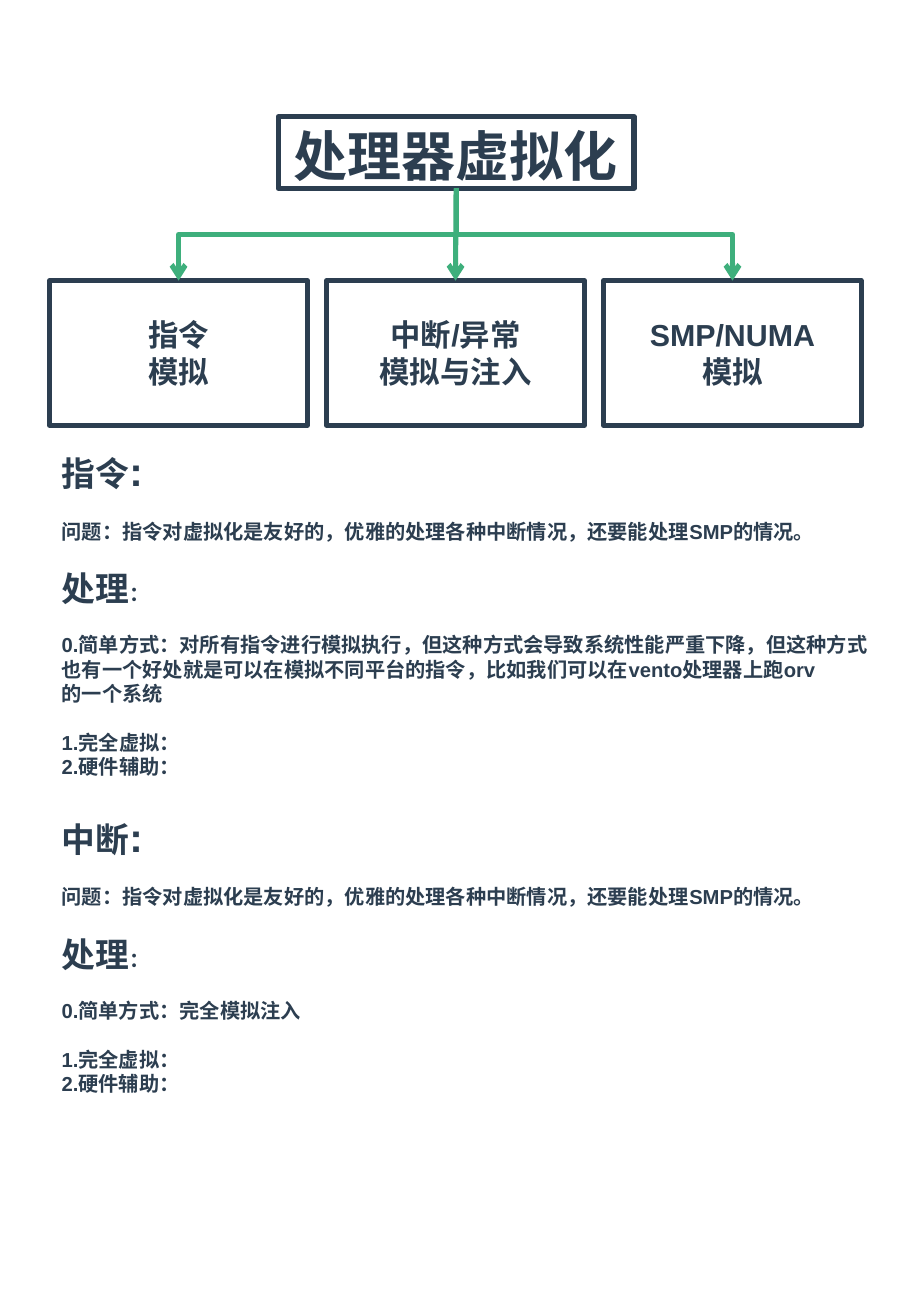
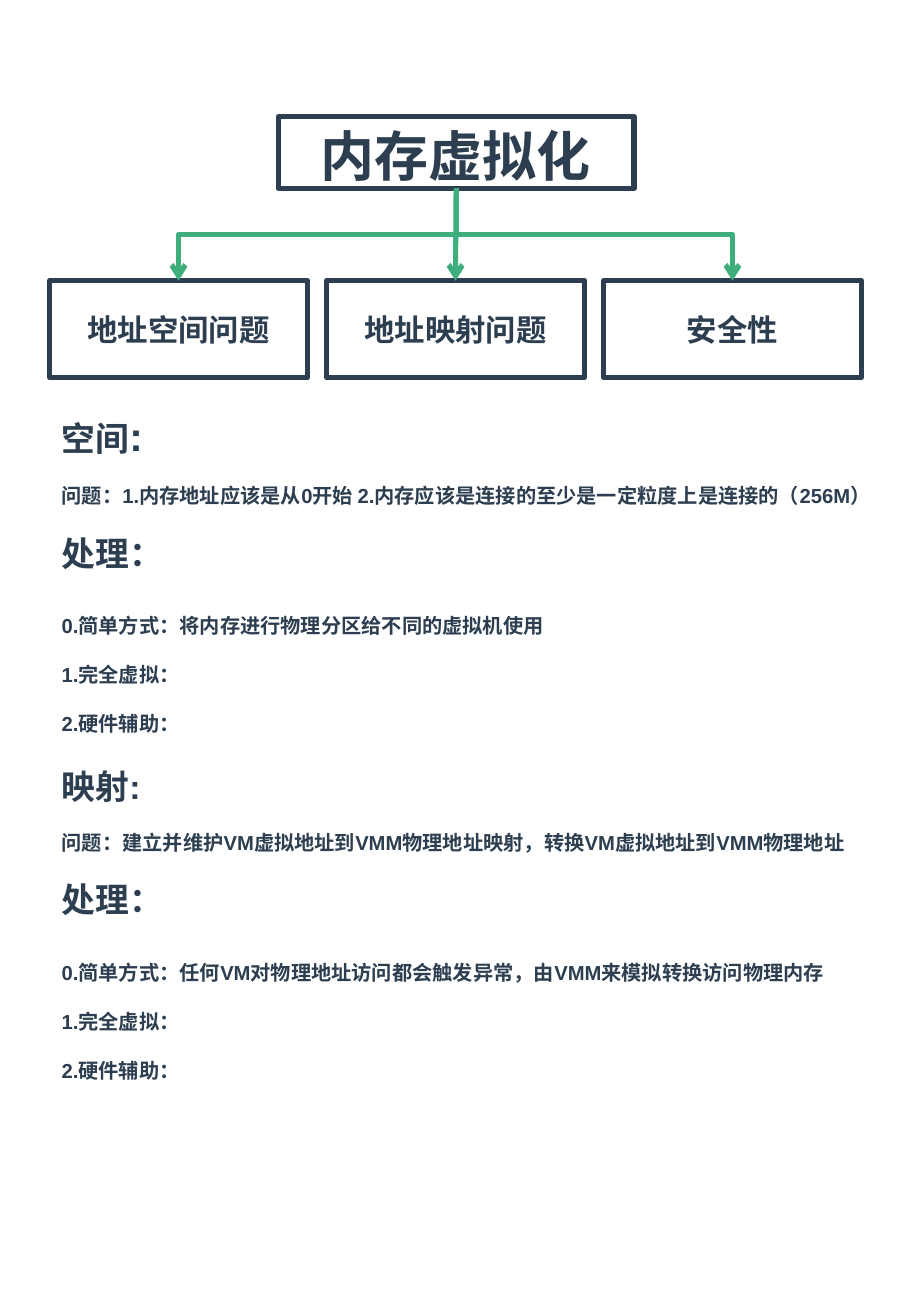
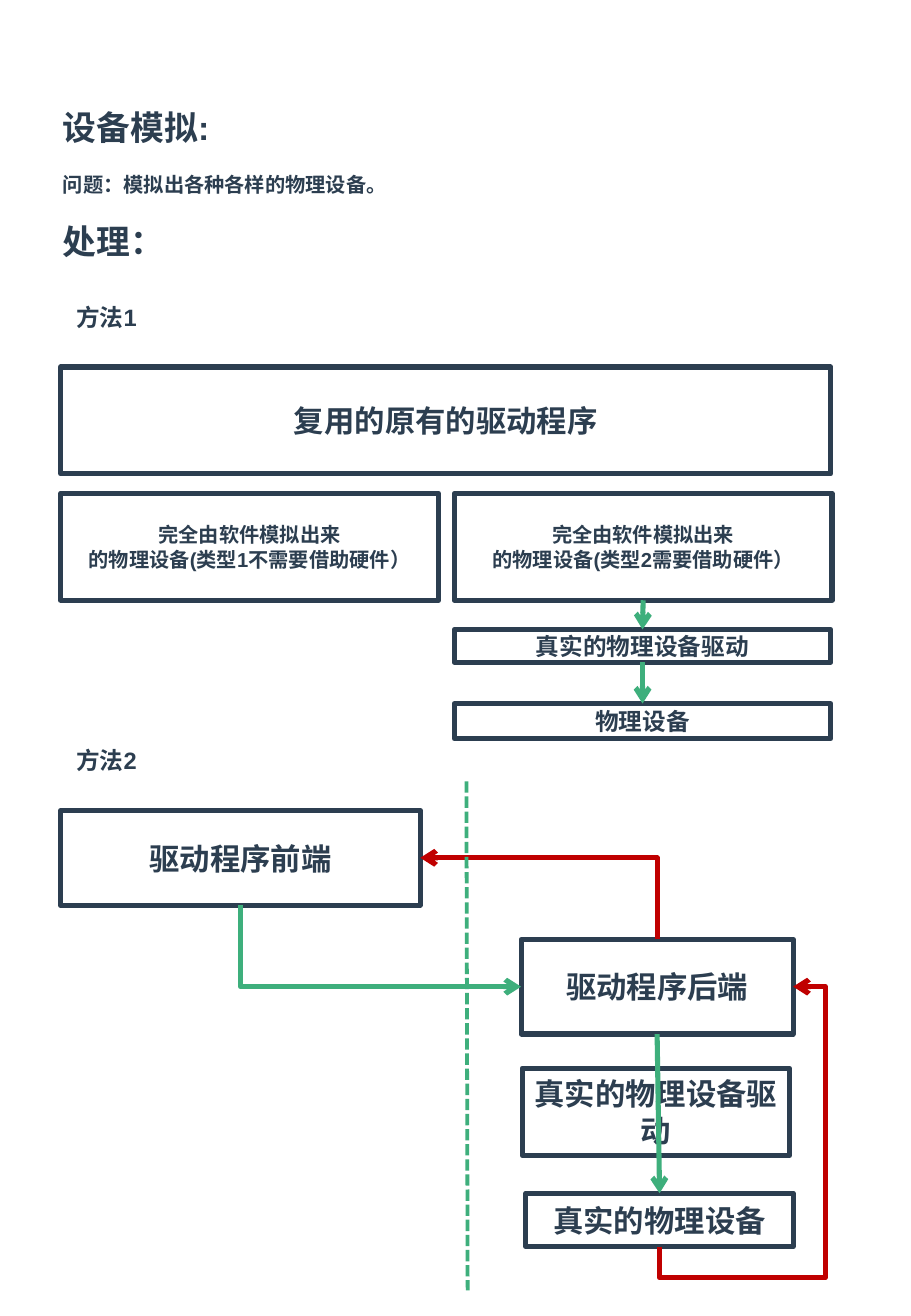
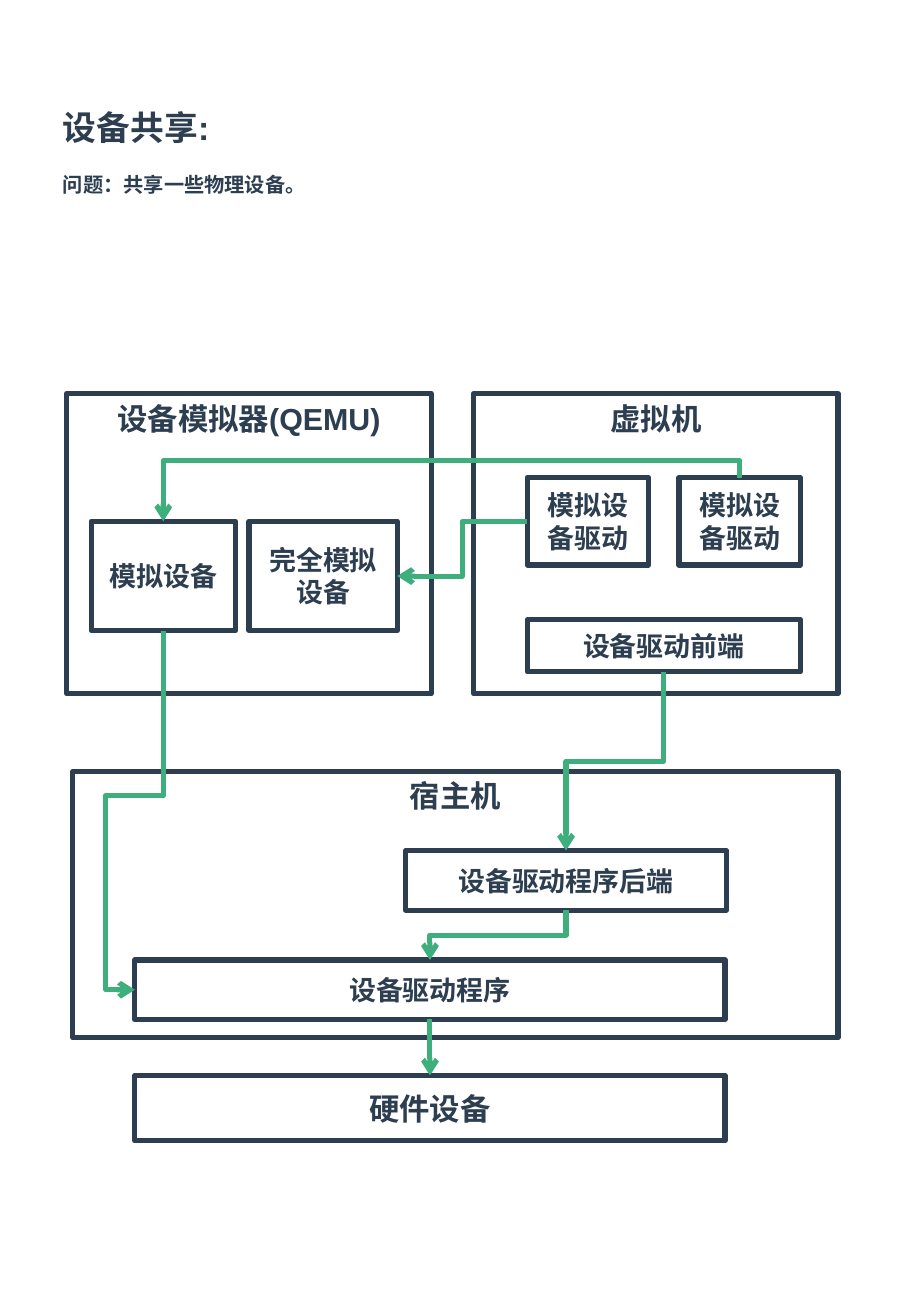
from math import cos, radians, sin

from lxml import etree
from pptx import Presentation
from pptx.dml.color import RGBColor
from pptx.enum.dml import MSO_LINE_DASH_STYLE
from pptx.enum.shapes import MSO_CONNECTOR_TYPE, MSO_SHAPE
from pptx.enum.text import MSO_ANCHOR, MSO_AUTO_SIZE, PP_ALIGN
from pptx.oxml.ns import qn
from pptx.util import Inches, Pt

RECT = MSO_SHAPE.RECTANGLE
STRAIGHT, ELBOW = MSO_CONNECTOR_TYPE.STRAIGHT, MSO_CONNECTOR_TYPE.ELBOW
ANCHOR_TOP, ANCHOR_MIDDLE = MSO_ANCHOR.TOP, MSO_ANCHOR.MIDDLE
CENTER, LEFT_ALIGN = PP_ALIGN.CENTER, PP_ALIGN.LEFT
GROW = MSO_AUTO_SIZE.SHAPE_TO_FIT_TEXT
DASHED = MSO_LINE_DASH_STYLE.SQUARE_DOT
TOP, LEFT, BOTTOM, RIGHT = range(4)
HEADING = {TOP: 270, LEFT: 180, BOTTOM: 90, RIGHT: 0}

color = RGBColor.from_string
INK, GREEN, RED = "2C3E50", "3EAF7C", "C00000"
GAP, WIDE_GAP = 14.5, 24

deck = Presentation()
deck.slide_width, deck.slide_height = Inches(7.5), Inches(10.83)
BLANK = deck.slide_layouts[6]
COL, ROW = deck.slide_width / 75, deck.slide_height / 108.3


def write(slide, area, lines, framed=True, anchor=ANCHOR_MIDDLE):
    """Place text at (column, row, columns, rows); a line is (space before, (text, size), ...)."""
    place = [round(n * unit) for n, unit in zip(area, (COL, ROW, COL, ROW))]
    if framed:
        block = slide.shapes.add_shape(RECT, *place)
        block.shadow.inherit = False
        block.fill.background()
        block.line.color.rgb = color(INK)
        block.line.width = Pt(3)
    else:
        block = slide.shapes.add_textbox(*place)
        block.text_frame.auto_size = GROW
    frame = block.text_frame
    frame.word_wrap = True
    frame.vertical_anchor = anchor if framed else ANCHOR_TOP
    for i, (before, *runs) in enumerate(lines):
        paragraph = frame.add_paragraph() if i else frame.paragraphs[0]
        paragraph.alignment = CENTER if framed else LEFT_ALIGN
        if before:
            paragraph.space_before = Pt(before)
        for text, size in runs:
            run = paragraph.add_run()
            run.text = text
            run.font.color.rgb = color(INK)
            for key, value in {"name": "Arial", "size": Pt(size), "bold": True}.items():
                setattr(run.font, key, value)
    return block


def link(slide, source, out_side, target, in_side, bends=0, adjust=(), tone=GREEN):
    """Join two boxes with an arrow; an elbow leaves square to the side it starts from."""
    arrow = slide.shapes.add_connector(ELBOW if bends else STRAIGHT, 0, 0, 0, 0)
    arrow.begin_connect(source, out_side)
    arrow.end_connect(target, in_side)
    arrow.line.color.rgb = color(tone)
    arrow.line.width = Pt(3)
    properties = arrow._element.spPr
    etree.SubElement(arrow.line._get_or_add_ln(), qn("a:tailEnd"), type="arrow")
    etree.SubElement(properties, qn("a:effectLst"))
    if not bends:
        return
    dx, dy = arrow.end_x - arrow.begin_x, arrow.end_y - arrow.begin_y
    mid_x, mid_y = arrow.begin_x + dx / 2, arrow.begin_y + dy / 2
    turn = radians(HEADING[out_side])
    along = round(dx * cos(turn) + dy * sin(turn))
    across = round(dy * cos(turn) - dx * sin(turn))
    arrow.width, arrow.height = abs(along), abs(across)
    arrow.left, arrow.top = round(mid_x - abs(along) / 2), round(mid_y - abs(across) / 2)
    frame = properties.find(qn("a:xfrm"))
    for key, value in {"rot": HEADING[out_side] * 60000,
                       "flipH": int(along < 0), "flipV": int(across < 0)}.items():
        frame.set(key, str(value))
    geometry = properties.find(qn("a:prstGeom"))
    geometry.set("prst", f"bentConnector{bends + 1}")
    guides = geometry.find(qn("a:avLst"))
    if guides is None:
        guides = etree.SubElement(geometry, qn("a:avLst"))
    for i, share in enumerate(adjust, 1):
        name = f"adj{i}" if bends > 1 else "adj"
        etree.SubElement(guides, qn("a:gd"), name=name, fmla=f"val {round(share * 100000)}")


FULL, ASSISTED = ("1.完全虚拟：", 12), ("2.硬件辅助：", 12)
SOLUTION = (GAP, ("处理", 20), ("：", 12))
SOLUTION_BOLD = (GAP, ("处理：", 20))
CPU_PROBLEM = (GAP, ("问题：指令对虚拟化是友好的，优雅的处理各种中断情况，还要能处理SMP的情况。", 12))

# Topic slides: a title that branches into three aspects, with notes below
topics = [
    ("处理器虚拟化", 11.9, ["指令\n模拟", "中断/异常\n模拟与注入", "SMP/NUMA\n模拟"], [
        ((4.1, 36.2, 69.1, 28.6), [
            (0, ("指令", 20), (":", 24)), CPU_PROBLEM, SOLUTION,
            (GAP, ("0.简单方式：对所有指令进行模拟执行，但这种方式会导致系统性能严重下降，但这种方式", 12)),
            (0, ("也有一个好处就是可以在模拟不同平台的指令，比如我们可以在vento处理器上跑orv", 12)),
            (0, ("的一个系统", 12)),
            (GAP, FULL), (0, ASSISTED)]),
        ((4.1, 66.3, 64.7, 24.6), [
            (0, ("中断", 20), (":", 24)), CPU_PROBLEM, SOLUTION,
            (GAP, ("0.简单方式：完全模拟注入", 12)),
            (GAP, FULL), (0, ASSISTED)]),
    ]),
    ("内存虚拟化", 8, ["地址空间问题", "地址映射问题", "安全性"], [
        ((4.1, 33.3, 71, 27.9), [
            (0, ("空间", 20), (":", 24)),
            (GAP, ("问题：1.内存地址应该是从0开始 2.内存应该是连接的至少是一定粒度上是连接的（256M）", 12)),
            SOLUTION_BOLD,
            (WIDE_GAP, ("0.简单方式：将内存进行物理分区给不同的虚拟机使用", 12)),
            (GAP, FULL), (GAP, ASSISTED)]),
        ((4.1, 62.5, 69, 27.3), [
            (0, ("映射:", 20)),
            (GAP, ("问题：建立并维护VM虚拟地址到VMM物理地址映射，转换VM虚拟地址到VMM物理地址", 12)),
            SOLUTION_BOLD,
            (WIDE_GAP, ("0.简单方式：任何VM对物理地址访问都会触发异常，由VMM来模拟转换访问物理内存", 12)),
            (GAP, FULL), (GAP, ASSISTED)]),
    ]),
]
for title, aspect_rows, aspects, notes in topics:
    slide = deck.slides.add_slide(BLANK)
    root = write(slide, (22.9, 9.6, 29.3, 5.9), [(0, (title, 32))], anchor=ANCHOR_TOP)
    for i, aspect in enumerate(aspects):
        lines = [(0, (line, 18)) for line in aspect.split("\n")]
        branch = write(slide, (4.1 + i * 22.8, 23.1, 21.2, aspect_rows), lines)
        if i == 1:
            link(slide, root, BOTTOM, branch, TOP)
        else:
            link(slide, root, BOTTOM, branch, TOP, 2, [0.5])
    for area, lines in notes:
        write(slide, area, lines, framed=False)

# Device slides: notes, boxes (key: area, text, size, anchor) and the arrows between them
devices = [
    {"notes": [
        ((4.2, 8.3, 28.8, 13.8), [(0, ("设备模拟:", 20)),
                                  (GAP, ("问题：模拟出各种各样的物理设备。", 12)),
                                  SOLUTION_BOLD]),
        ((5.3, 24.4, 7, 3.4), [(0, ("方法1", 14))]),
        ((5.3, 60.9, 7, 3.4), [(0, ("方法2", 14))])],
     "boxes": {
        "reused driver": ((5, 30.2, 63.4, 8.8), "复用的原有的驱动程序", 18, ANCHOR_MIDDLE),
        "type 1": ((5, 40.6, 31.1, 8.8),
                   "完全由软件模拟出来\n的物理设备(类型1不需要借助硬件）", 12, ANCHOR_MIDDLE),
        "type 2": ((37.4, 40.6, 31.1, 8.8),
                   "完全由软件模拟出来\n的物理设备(类型2需要借助硬件）", 12, ANCHOR_MIDDLE),
        "driver": ((37.4, 51.8, 31, 2.7), "真实的物理设备驱动", 14, ANCHOR_MIDDLE),
        "device": ((37.4, 57.9, 31, 2.9), "物理设备", 14, ANCHOR_MIDDLE),
        "front end": ((5, 66.7, 29.6, 7.8), "驱动程序前端", 18, ANCHOR_MIDDLE),
        "back end": ((42.9, 77.3, 22.4, 7.8), "驱动程序后端", 18, ANCHOR_MIDDLE),
        "real driver": ((43, 87.9, 22, 7.2), "真实的物理设备驱动", 18, ANCHOR_MIDDLE),
        "real device": ((43.3, 98.2, 22, 4.4), "真实的物理设备", 18, ANCHOR_MIDDLE)},
     "links": [
        ("type 2", BOTTOM, "driver", TOP),
        ("driver", BOTTOM, "device", TOP),
        ("front end", BOTTOM, "back end", LEFT, 1),
        ("back end", BOTTOM, "real device", TOP),
        ("real device", BOTTOM, "back end", RIGHT, 3, [-0.12, 1.24], RED),
        ("back end", TOP, "front end", RIGHT, 1, [], RED)],
     "divider": (38.4, 64.3, 38.5, 106.2)},
    {"notes": [
        ((4.2, 8.3, 22.1, 10.4), [(0, ("设备共享:", 20)),
                                  (GAP, ("问题：共享一些物理设备。", 12))])],
     "boxes": {
        "machine": ((39, 32.4, 30, 24.7), "虚拟机", 18, ANCHOR_TOP),
        "emulator": ((5.5, 32.4, 30, 24.7), "设备模拟器(QEMU)", 18, ANCHOR_TOP),
        "host": ((6, 63.5, 63, 21.9), "宿主机", 18, ANCHOR_TOP),
        "hardware": ((11.1, 88.5, 48.6, 5.4), "硬件设备", 18, ANCHOR_MIDDLE),
        "full device": ((20.5, 42.9, 12.2, 9), "完全模拟设备", 16, ANCHOR_MIDDLE),
        "device": ((7.5, 42.9, 11.9, 9), "模拟设备", 16, ANCHOR_MIDDLE),
        "front end": ((43.4, 51, 22.5, 4.3), "设备驱动前端", 16, ANCHOR_MIDDLE),
        "driver": ((11.1, 79, 48.6, 4.9), "设备驱动程序", 16, ANCHOR_MIDDLE),
        "back end": ((33.4, 70, 26.4, 4.9), "设备驱动程序后端", 16, ANCHOR_MIDDLE),
        "left driver": ((43.4, 39.3, 10, 7.2), "模拟设备驱动", 16, ANCHOR_MIDDLE),
        "right driver": ((55.9, 39.3, 10, 7.2), "模拟设备驱动", 16, ANCHOR_MIDDLE)},
     "links": [
        ("left driver", LEFT, "full device", RIGHT, 2, [0.5]),
        ("right driver", TOP, "device", TOP, 2, [-0.39]),
        ("front end", BOTTOM, "back end", TOP, 2, [0.5]),
        ("device", BOTTOM, "driver", LEFT, 3, [0.46, 2.02]),
        ("back end", BOTTOM, "driver", TOP, 2, [0.5]),
        ("driver", BOTTOM, "hardware", TOP)]},
]
for device in devices:
    slide = deck.slides.add_slide(BLANK)
    for area, lines in device["notes"]:
        write(slide, area, lines, framed=False)
    boxes = {}
    for key, (area, text, size, anchor) in device["boxes"].items():
        lines = [(0, (line, size)) for line in text.split("\n")]
        boxes[key] = write(slide, area, lines, anchor=anchor)
    for source, out_side, target, in_side, *style in device["links"]:
        link(slide, boxes[source], out_side, boxes[target], in_side, *style)
    if "divider" in device:
        ends = [round(n * unit) for n, unit in zip(device["divider"], (COL, ROW, COL, ROW))]
        divider = slide.shapes.add_connector(STRAIGHT, *ends)
        divider.line.color.rgb = color(GREEN)
        divider.line.width = Pt(2.25)
        divider.line.dash_style = DASHED
        etree.SubElement(divider._element.spPr, qn("a:effectLst"))

deck.save("out.pptx")
